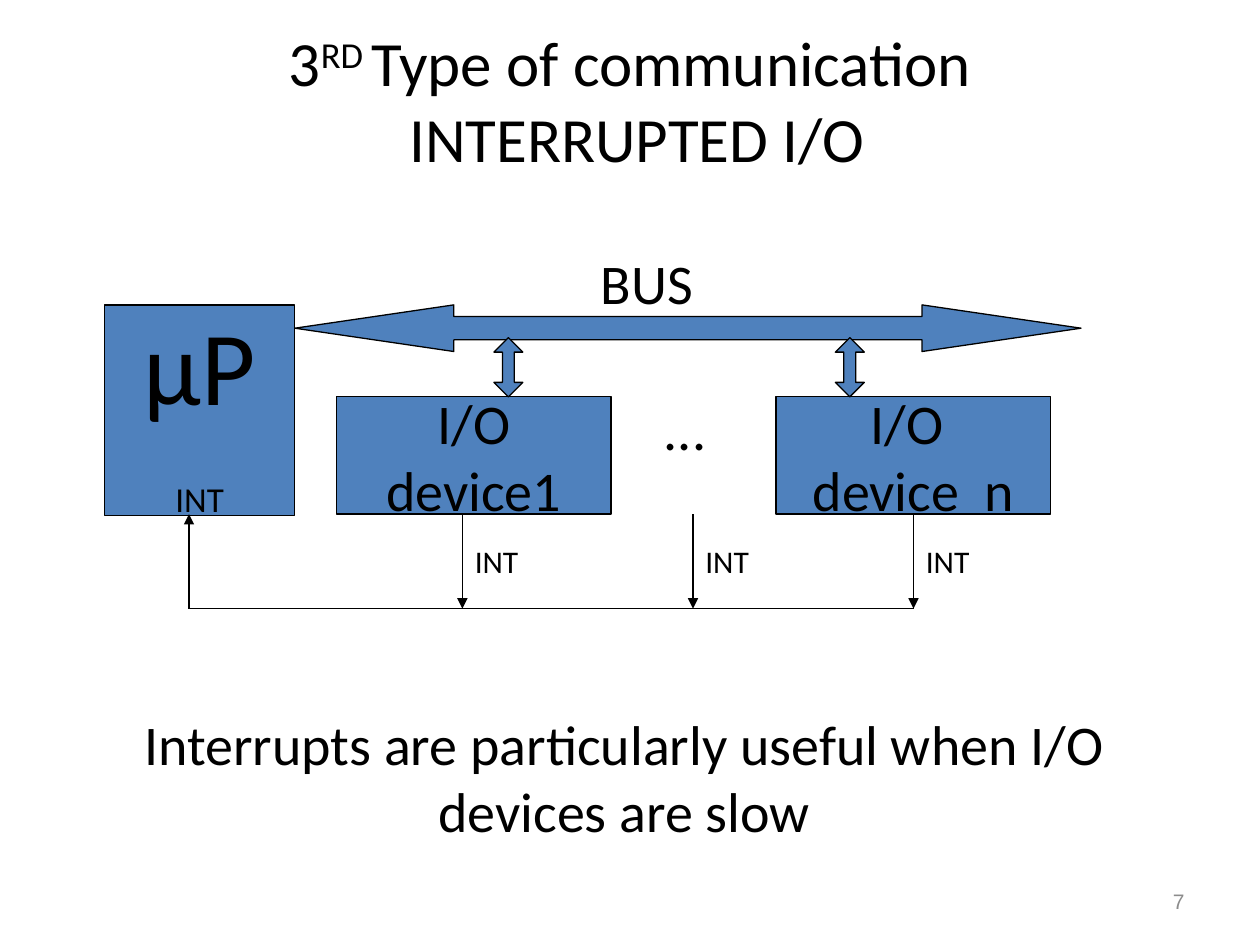
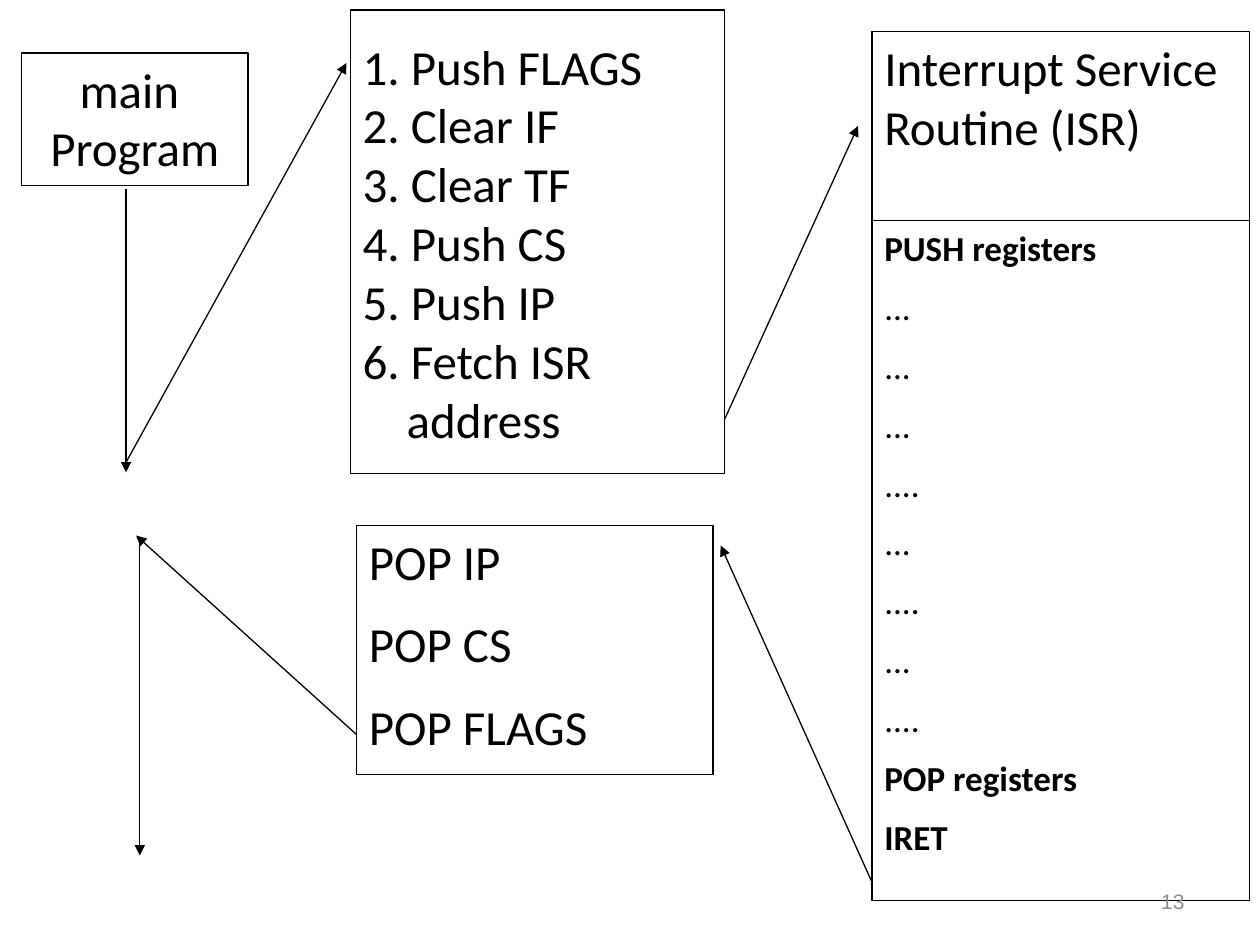
from lxml import etree
from pptx import Presentation
from pptx.dml.color import RGBColor
from pptx.enum import shapes, text
from pptx.oxml import ns
from pptx.util import Inches, Pt

BLACK, BLUE, GREY = "000000", "4F81BD", "8C8C8C"
FONT, FOOTER_FONT = "Calibri", "Arial"
LINE_WIDTH = 0.75
PARA_GAP = 0.48  # space between paragraphs, as a share of the text size
LEFT, CENTER, RIGHT = text.PP_ALIGN.LEFT, text.PP_ALIGN.CENTER, text.PP_ALIGN.RIGHT
TOP, MIDDLE = text.MSO_ANCHOR.TOP, text.MSO_ANCHOR.MIDDLE
SHAPE = shapes.MSO_SHAPE
BOTTOM_SIDE = 2


def rgb(value):
    return RGBColor.from_string(value)


def add_run(p, words, size, color=BLACK, font=FONT, bold=False):
    r = p.add_run()
    r.text = words
    r.font.size, r.font.name, r.font.bold = Pt(size), font, bold
    r.font.color.rgb = rgb(color)
    return r


def write(sp, lines, size, align=LEFT, anchor=TOP, gap=0, bold=(), **style):
    """Write one paragraph per line; bold holds the lines set in bold."""
    tf = sp.text_frame
    tf.word_wrap, tf.vertical_anchor = True, anchor
    for i, line in enumerate(lines):
        p = tf.paragraphs[0] if i == 0 else tf.add_paragraph()
        p.alignment = align
        if i and gap:
            p.space_before = Pt(gap * size)
        add_run(p, line, size, bold=line in bold, **style)
    return tf


def add_text(s, x, y, w, h, lines, size, **style):
    sp = s.shapes.add_textbox(Inches(x), Inches(y), Inches(w), Inches(h))
    write(sp, lines, size, **style)
    return sp


def add_box(s, x, y, w, h, kind=SHAPE.RECTANGLE, fill=None, adj=()):
    sp = s.shapes.add_shape(kind, Inches(x), Inches(y), Inches(w), Inches(h))
    sp.shadow.inherit = False
    if fill:
        sp.fill.solid()
        sp.fill.fore_color.rgb = rgb(fill)
    else:
        sp.fill.background()
    sp.line.color.rgb, sp.line.width = rgb(BLACK), Pt(LINE_WIDTH)
    for i, value in enumerate(adj):
        sp.adjustments[i] = value
    return sp


def add_line(s, x1, y1, x2, y2, arrow=True):
    c = s.shapes.add_connector(shapes.MSO_CONNECTOR.STRAIGHT,
                               Inches(x1), Inches(y1), Inches(x2), Inches(y2))
    c.line.color.rgb, c.line.width = rgb(BLACK), Pt(LINE_WIDTH)
    if arrow:
        etree.SubElement(c.line._get_or_add_ln(), ns.qn("a:tailEnd"), type="triangle")
    etree.SubElement(c._element.spPr, ns.qn("a:effectLst"))
    return c


def add_slide(prs):
    return prs.slides.add_slide(prs.slide_layouts[6])


def add_page_number(s, number):
    add_text(s, 7.17, 6.95, 2.33, 0.4, [str(number)], 12, align=RIGHT,
             anchor=MIDDLE, color=GREY, font=FOOTER_FONT)


def add_title(s, x, y, w, h):
    sp = add_text(s, x, y, w, h, ["3"], 36, align=CENTER, anchor=MIDDLE)
    p = sp.text_frame.paragraphs[0]
    ordinal = add_run(p, "RD ", 36)
    ordinal.font._element.set("baseline", "30000")
    add_run(p, "Type of communication", 36)
    p.add_line_break()
    add_run(p, " INTERRUPTED I/O", 36)


def bus_diagram(s, x, y):
    """Processor, bus and devices; (x, y) is the processor's top left corner."""
    cpu_w, cpu_h = 1.51, 1.67
    device_y, device_w, device_h = y + 0.73, 2.18, 0.93
    bottom, rail = y + 1.66, y + 2.41

    # Processor
    cpu = add_box(s, x, y, cpu_w, cpu_h, fill=BLUE)
    tf = write(cpu, ["µP"], 60, align=CENTER, anchor=MIDDLE)
    p = tf.add_paragraph()
    p.alignment, p.space_before = CENTER, Pt(29)
    add_run(p, "INT", 20)

    # Bus
    add_box(s, x + cpu_w, y, 6.24, 0.37, SHAPE.LEFT_RIGHT_ARROW, BLUE, (0.5, 3.41))
    add_text(s, x + 3.84, y - 0.5, 1.33, 0.63, ["BUS"], 32)

    # Devices and their links to the bus
    for dx, link_dx, lines in ((1.84, 3.09, ["I/O", "device1"]),
                               (5.33, 5.8, ["I/O ", "device  n"])):
        device = add_box(s, x + dx, device_y, device_w, device_h, fill=BLUE)
        write(device, lines, 32, align=CENTER, anchor=MIDDLE)
        add_box(s, x + link_dx, y + 0.26, 0.23, 0.47, SHAPE.UP_DOWN_ARROW, BLUE,
                (0.5, 0.41))
    add_text(s, x + 4.34, y + 0.66, 0.58, 0.63, ["..."], 32)

    # Interrupt lines down to the common rail, and back to the processor
    first, last = x + 0.67, x + 6.42
    for line_x in (x + 2.84, x + 4.67, last):
        c = add_line(s, line_x, bottom, line_x, rail)
        add_text(s, line_x, y + 1.83, 0.67, 0.4, ["INT"], 18)
    c.begin_connect(device, BOTTOM_SIDE)
    add_line(s, first, rail, first, bottom)
    add_line(s, first, rail, last, rail, arrow=False)


def interrupted_io_slide(prs):
    s = add_slide(prs)
    add_title(s, 0.5, 0.25, 9, 1.08)
    bus_diagram(s, 0.83, 2.42)
    add_text(s, 0.33, 5.58, 9.25, 1.17,
             ["Interrupts are particularly useful when I/O devices are slow"],
             32, align=CENTER)
    add_page_number(s, 7)


def entry_steps(s, x, y, w, h):
    steps = ["Push FLAGS", "Clear IF", "Clear TF", "Push CS", "Push IP", "Fetch ISR"]
    lines = [f"{n}. {step}" for n, step in enumerate(steps, 1)]
    tf = write(add_box(s, x, y, w, h), lines + ["address"], 28, anchor=MIDDLE)
    tf.paragraphs[-1]._p.get_or_add_pPr().set("marL", str(Inches(0.35)))


def service_routine(s, x, y, w, h):
    head_h = 1.5
    write(add_box(s, x, y, w, head_h), ["Interrupt Service Routine (ISR)"], 28)
    start, end = ["PUSH registers"], ["POP registers", "IRET"]
    body = ["...", "...", "...", "....", "...", "....", "...", "...."]
    write(add_box(s, x, y + head_h, w, h - head_h), start + body + end, 20,
          gap=PARA_GAP, bold=start + end)


def interrupt_flow_slide(prs):
    s = add_slide(prs)
    # Boxes
    entry_steps(s, 2.78, 0.08, 2.97, 3.68)
    write(add_box(s, 0.17, 0.42, 1.8, 1.05), ["main ", "Program"], 28, align=CENTER)
    service_routine(s, 6.92, 0.25, 3, 6.9)
    write(add_box(s, 2.83, 4.17, 2.83, 1.98), ["POP IP", "POP CS", "POP FLAGS"], 28,
          gap=PARA_GAP)
    # Control flow, from the main program to the routine and back
    for ends in ((1, 1.5, 1, 3.75), (1, 3.67, 2.75, 0.5), (5.75, 3.33, 6.81, 1),
                 (6.92, 7, 5.72, 4.33), (2.83, 5.83, 1.08, 4.25),
                 (1.11, 4.29, 1.11, 6.79)):
        add_line(s, *ends)
    add_page_number(s, 13)


def main():
    prs = Presentation()
    prs.slide_width, prs.slide_height = Inches(10), Inches(7.5)
    interrupted_io_slide(prs)
    interrupt_flow_slide(prs)
    prs.save("out.pptx")


if __name__ == "__main__":
    main()
